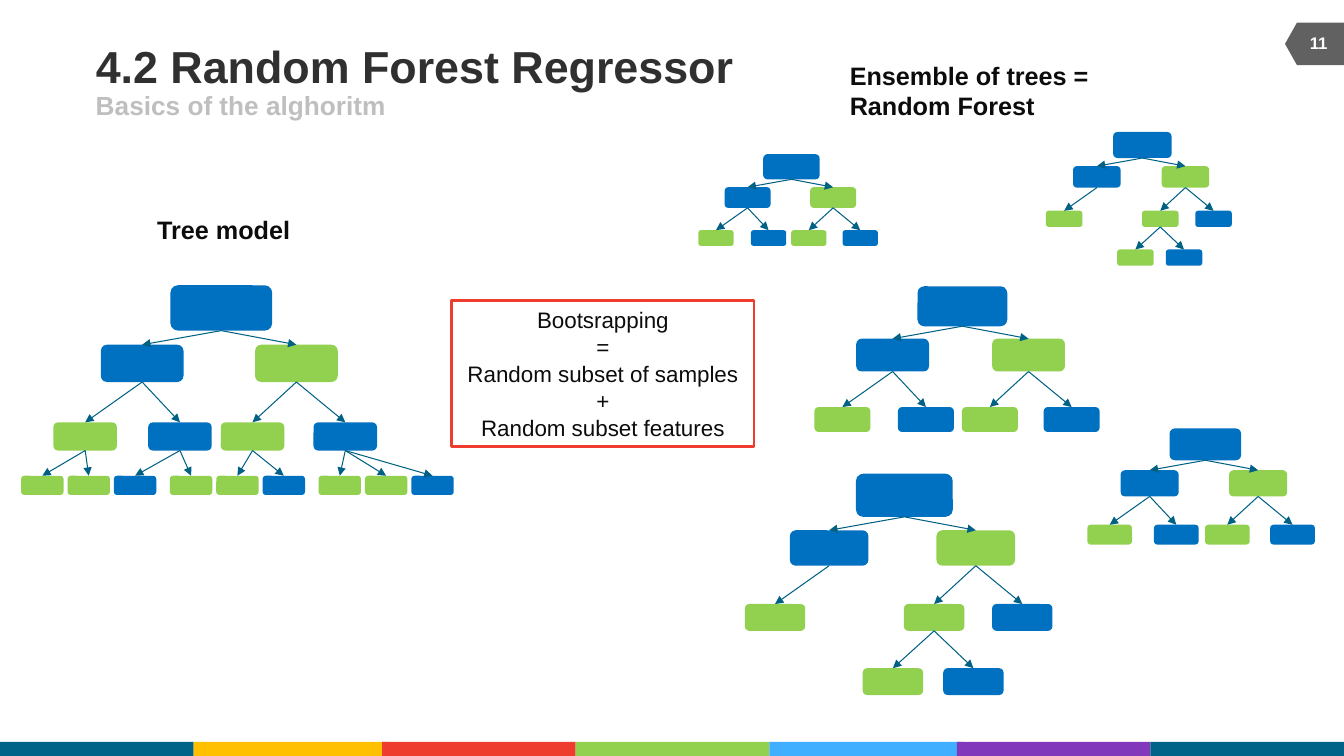
from lxml.etree import SubElement
from pptx import Presentation
from pptx.dml.color import RGBColor
from pptx.enum.shapes import MSO_CONNECTOR, MSO_SHAPE
from pptx.enum.text import MSO_ANCHOR, PP_ALIGN
from pptx.oxml.ns import qn
from pptx.util import Inches, Pt

WHITE = RGBColor(0xFF, 0xFF, 0xFF)
BLUE = RGBColor(0x00, 0x70, 0xC0)
GREEN = RGBColor(0x92, 0xD0, 0x50)
TEAL = RGBColor(0x00, 0x63, 0x87)
ARROW = RGBColor(0x00, 0x61, 0x84)
YELLOW = RGBColor(0xFF, 0xC0, 0x00)
RED = RGBColor(0xEE, 0x3C, 0x2E)
SKY = RGBColor(0x40, 0xAF, 0xFF)
PURPLE = RGBColor(0x82, 0x38, 0xBA)
GREY = RGBColor(0x61, 0x61, 0x61)
TITLE = RGBColor(0x30, 0x30, 0x30)
SUBTITLE = RGBColor(0xBF, 0xBF, 0xBF)
INK = RGBColor(0x0C, 0x0C, 0x0C)

# Node sizes by depth and node tops by depth, for a root 1.01 in wide
ROOT_WIDTH = 1.01
SIZES = [(1.01, 0.45), (0.82, 0.37), (0.63, 0.28)]
TOPS = [0, 0.59, 1.36, 2.03]
LEAF_SIZE, LEAF_TOP = (0.42, 0.19), 1.89

# Node name: left offset from the root, colour; a name is the path from the root
CORE = {"": (0, BLUE), "L": (-0.69, BLUE), "R": (0.84, GREEN),
        "LL": (-1.16, GREEN), "RL": (0.5, GREEN), "RR": (1.42, BLUE)}
BALANCED = CORE | {"LR": (-0.22, BLUE)}
SKEWED = CORE | {"RLL": (0.07, GREEN), "RLR": (0.91, BLUE)}

# Parents of the nine bottom leaves of the single tree, in threes
LEAF_PARENTS = ["LL", "LL", "LR", "LR", "RL", "RL", "RR", "RR", "RR"]

FOREST = [  # left and top of the root, its width, nodes
    (7.57, 1.53, 0.56, BALANCED),
    (11.6, 4.25, 0.71, BALANCED),
    (11.04, 1.31, 0.58, SKEWED),
    (9.1, 2.84, 0.89, BALANCED),
    (8.49, 4.7, 0.96, SKEWED),
]
BAR = [(0, TEAL), (1.92, YELLOW), (3.79, RED), (5.71, GREEN),
       (7.63, SKY), (9.49, PURPLE), (11.41, TEAL)]


def add_block(shapes, kind, x, y, w, h, fill):
    sp = shapes.add_shape(kind, Inches(x), Inches(y), Inches(w), Inches(h))
    sp.shadow.inherit = False
    sp.fill.solid()
    sp.fill.fore_color.rgb = fill
    sp.line.fill.background()
    return sp


def write(sp, lines, size, color, bold=False, align=PP_ALIGN.LEFT, **frame):
    tf = sp.text_frame
    for name, value in ({"word_wrap": True} | frame).items():
        setattr(tf, name, value)
    for i, line in enumerate(lines):
        p = tf.paragraphs[0] if i == 0 else tf.add_paragraph()
        p.alignment = align
        r = p.add_run()
        r.text = line
        for name, value in {"name": "Arial", "size": Pt(size), "bold": bold}.items():
            setattr(r.font, name, value)
        r.font.color.rgb = color


def add_label(slide, text, x, y, w, h, size, color, **options):
    sp = slide.shapes.add_textbox(Inches(x), Inches(y), Inches(w), Inches(h))
    write(sp, [text], size, color, bold=True, **options)


def add_arrow(shapes, parent, child):
    cx = shapes.add_connector(
        MSO_CONNECTOR.STRAIGHT,
        parent.left + parent.width // 2, parent.top + parent.height,
        child.left + child.width // 2, child.top)
    cx.begin_connect(parent, 2)
    cx.end_connect(child, 0)
    cx.line.color.rgb = ARROW
    cx.line.width = Pt(0.75)
    SubElement(cx.line._get_or_add_ln(), qn("a:tailEnd"), type="triangle")
    SubElement(cx._element.spPr, qn("a:effectLst"))


def add_tree(slide, x, y, width, nodes, leaf_parents=()):
    shapes = slide.shapes.add_group_shape().shapes
    scale = width / ROOT_WIDTH

    def add_node(dx, dy, size, fill):
        return add_block(shapes, MSO_SHAPE.ROUNDED_RECTANGLE,
                         x + dx * scale, y + dy * scale,
                         size[0] * scale, size[1] * scale, fill)

    boxes = {name: add_node(dx, TOPS[len(name)], SIZES[min(len(name), 2)], fill)
             for name, (dx, fill) in nodes.items()}
    links = [(boxes[name[:-1]], boxes[name]) for name in boxes if name]
    # Bottom leaves: two green and one blue in each group of three
    for i, parent in enumerate(leaf_parents):
        group, place = divmod(i, 3)
        fill = BLUE if place == 2 else GREEN
        leaf = add_node(-1.48 + 1.475 * group + 0.46 * place, LEAF_TOP, LEAF_SIZE, fill)
        links.append((boxes[parent], leaf))
    for parent, child in links:
        add_arrow(shapes, parent, child)


def add_frame(slide):
    for x, color in BAR:
        add_block(slide.shapes, MSO_SHAPE.RECTANGLE, x, 7.36, 1.92, 0.14, color)
    tag = add_block(slide.shapes, MSO_SHAPE.FLOWCHART_OFFPAGE_CONNECTOR,
                    12.83, 0.14, 0.42, 0.59, GREY)
    tag.rotation = 90
    add_label(slide, "11", 12.8, 0.22, 0.56, 0.4, 12, WHITE,
              align=PP_ALIGN.CENTER, vertical_anchor=MSO_ANCHOR.MIDDLE)


def add_bootstrap_box(slide):
    sp = add_block(slide.shapes, MSO_SHAPE.RECTANGLE, 4.48, 2.98, 3, 1.45, WHITE)
    sp.line.color.rgb = RED
    sp.line.width = Pt(2)
    write(sp, ["Bootsrapping", "=", "Random subset of samples", "+",
               "Random subset features"], 16, INK, align=PP_ALIGN.CENTER,
          vertical_anchor=MSO_ANCHOR.MIDDLE)


def main():
    prs = Presentation()
    prs.slide_width, prs.slide_height = Inches(13.33), Inches(7.5)
    slide = prs.slides.add_slide(prs.slide_layouts[6])

    # Colour bar, page number and headings
    add_frame(slide)
    heading = {"word_wrap": False, "vertical_anchor": MSO_ANCHOR.MIDDLE,
               "margin_left": 0, "margin_right": 0, "margin_top": 0, "margin_bottom": 0}
    add_label(slide, "4.2 Random Forest Regressor", 0.95, 0.39, 8.22, 0.52, 32, TITLE, **heading)
    add_label(slide, "Basics of the alghoritm", 0.95, 0.9, 6, 0.29, 18.7, SUBTITLE, **heading)

    # Single tree, bootstrapping and the forest
    add_tree(slide, 1.69, 2.83, ROOT_WIDTH, BALANCED, LEAF_PARENTS)
    add_bootstrap_box(slide)
    for x, y, width, nodes in FOREST:
        add_tree(slide, x, y, width, nodes)

    # Captions
    add_label(slide, "Tree model", 1.46, 2.08, 1.7, 0.4, 18, INK)
    add_label(slide, "Ensemble of trees = Random Forest", 8.33, 0.55, 3.48, 0.71, 18, INK)
    prs.save("out.pptx")


if __name__ == "__main__":
    main()
